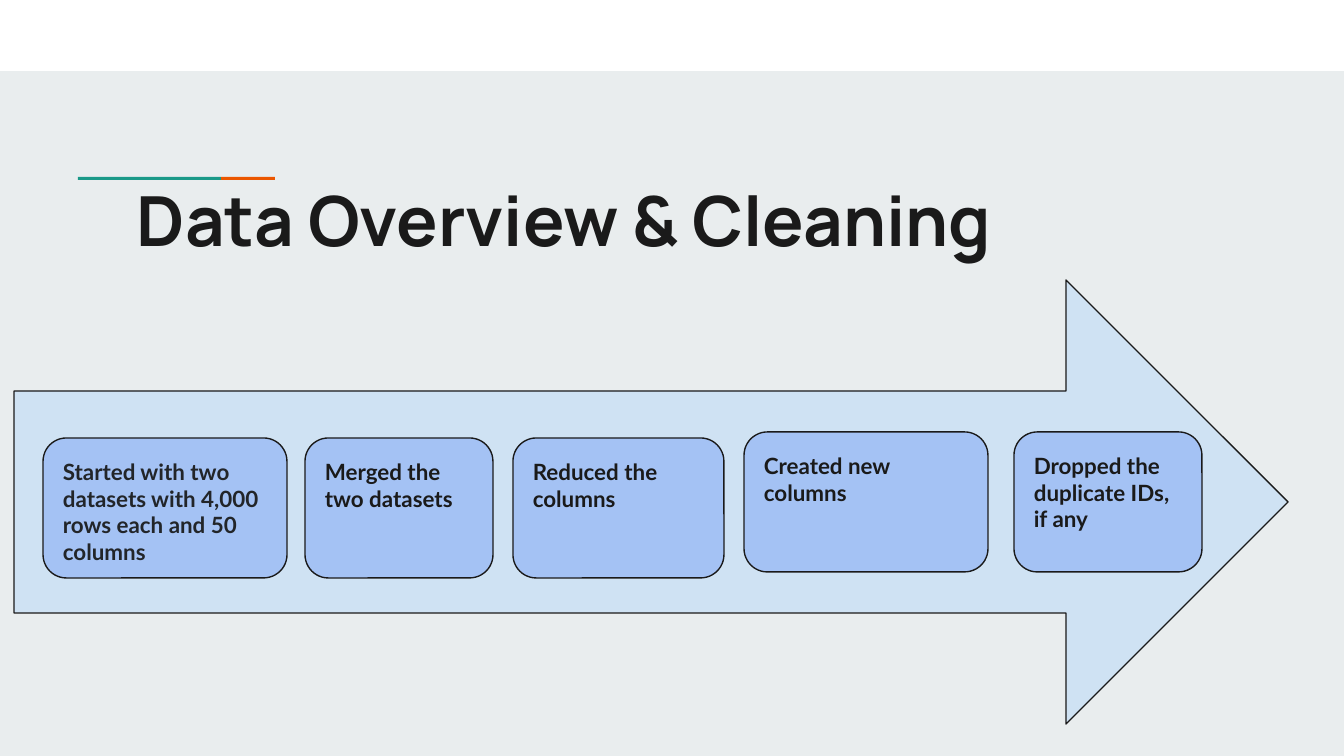
from pptx import Presentation
from pptx.dml.color import RGBColor
from pptx.enum.shapes import MSO_SHAPE as SHAPE
from pptx.enum.text import MSO_ANCHOR as ANCHOR, PP_ALIGN as ALIGN
from pptx.util import Pt

PX = 914400 / 134.4
INK = "1A1A1A"


def color(value):
    return RGBColor.from_string(value)


def add_block(kind, box, fill, outlined=False):
    block = slide.shapes.add_shape(kind, *[round(n * PX) for n in box])
    block.shadow.inherit = False
    block.fill.solid()
    block.fill.fore_color.rgb = color(fill)
    if outlined:
        block.line.color.rgb = color(INK)
        block.line.width = Pt(0.75)
    else:
        block.line.fill.background()
    return block


deck = Presentation()
deck.slide_width = round(1344 * PX)
deck.slide_height = round(756 * PX)
slide = deck.slides.add_slide(deck.slide_layouts[6])
slide.background.fill.solid()
slide.background.fill.fore_color.rgb = color("E9EDEE")

add_block(SHAPE.RECTANGLE, (0, 0, 1344, 71), "FFFFFF")
add_block(SHAPE.RECTANGLE, (78, 177, 143, 3), "1A9988")
add_block(SHAPE.RECTANGLE, (221, 177, 54, 3), "EB5600")

title = slide.shapes.add_textbox(*[round(n * PX) for n in (124, 165, 1095, 140)])
title.text_frame.text = "Data Overview & Cleaning"
steps_arrow = add_block(SHAPE.RIGHT_ARROW, (14, 280, 1274, 444), "CFE2F3", True)

texts = [(title, 37, "Manrope", INK)]
steps = [
    (43, 438, 244, "Started with two datasets with 4,000 rows each and 50 columns", "222529"),
    (305, 438, 188, "Merged the two datasets", INK),
    (513, 438, 211, "Reduced the columns", INK),
    (744, 432, 244, "Created new columns", INK),
    (1014, 432, 188, "Dropped the duplicate IDs, if any", INK),
]
for left, top, width, wording, ink in steps:
    step = add_block(SHAPE.ROUNDED_RECTANGLE, (left, top, width, 140), "A4C2F4", True)
    step.text_frame.text = wording
    texts.append((step, 12, "Lato", ink))

for holder, size, font_name, ink in texts:
    frame = holder.text_frame
    frame.word_wrap = True
    frame.vertical_anchor = ANCHOR.TOP
    frame.margin_left = frame.margin_right = round(13 * PX)
    frame.margin_top = frame.margin_bottom = round(13 * PX)
    frame.paragraphs[0].alignment = ALIGN.LEFT
    font = frame.paragraphs[0].runs[0].font
    font.name = font_name
    font.size = Pt(size)
    font.bold = True
    font.color.rgb = color(ink)

deck.save("out.pptx")
